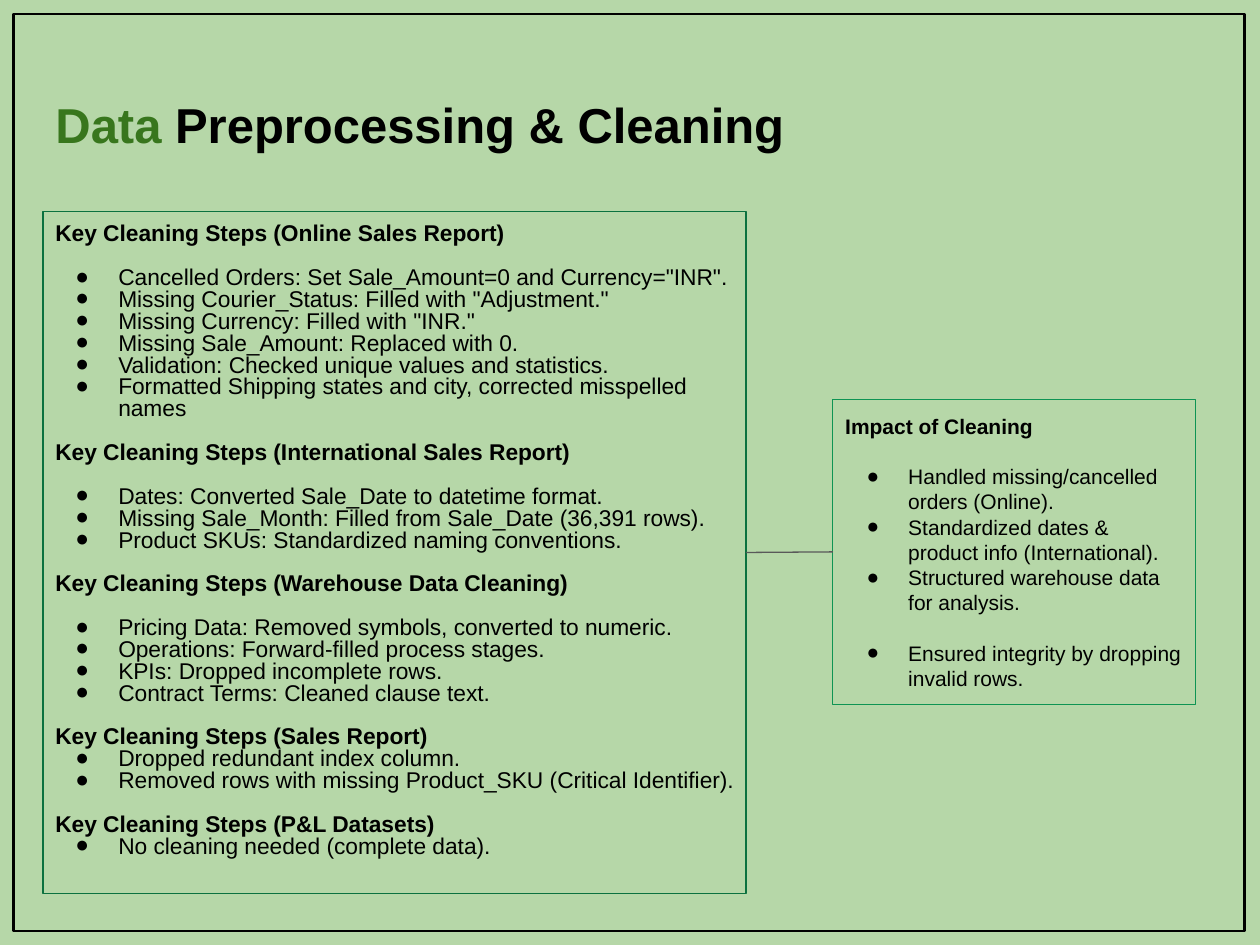
from dataclasses import dataclass

from lxml import etree
from pptx import Presentation
from pptx.dml.color import RGBColor
from pptx.enum import shapes, text
from pptx.oxml.ns import qn
from pptx.util import Inches, Pt

COLORS = {
    "background": "B6D7A8",
    "ink": "000000",
    "accent": "38761D",
    "steps_line": "0B713F",
    "impact_line": "0E9453",
    "link": "595959",
}
FONT = "Arial"
INSET = 0.1
BULLET_INDENT = 0.5


@dataclass
class Bullet:
    wording: str
    gap: bool = False


@dataclass
class Section:
    heading: str
    bullets: list[Bullet]


@dataclass
class Panel:
    left: float
    top: float
    width: float
    height: float
    line: str
    size: int
    spacing: float
    gap: float
    hanging: float
    anchor: text.MSO_ANCHOR
    sections: list[Section]


STEPS = Panel(
    0.34, 1.68, 5.58, 5.41, "steps_line", 13, 0.8, 12.5, 0.34, text.MSO_ANCHOR.TOP,
    [
        Section("Key Cleaning Steps (Online Sales Report)", [
            Bullet('Cancelled Orders: Set Sale_Amount=0 and Currency="INR".', True),
            Bullet('Missing Courier_Status: Filled with "Adjustment."'),
            Bullet('Missing Currency: Filled with "INR."'),
            Bullet("Missing Sale_Amount: Replaced with 0."),
            Bullet("Validation: Checked unique values and statistics."),
            Bullet("Formatted Shipping states and city, corrected misspelled names"),
        ]),
        Section("Key Cleaning Steps (International Sales Report)", [
            Bullet("Dates: Converted Sale_Date to datetime format.", True),
            Bullet("Missing Sale_Month: Filled from Sale_Date (36,391 rows)."),
            Bullet("Product SKUs: Standardized naming conventions."),
        ]),
        Section("Key Cleaning Steps (Warehouse Data Cleaning)", [
            Bullet("Pricing Data: Removed symbols, converted to numeric.", True),
            Bullet("Operations: Forward-filled process stages."),
            Bullet("KPIs: Dropped incomplete rows."),
            Bullet("Contract Terms: Cleaned clause text."),
        ]),
        Section("Key Cleaning Steps (Sales Report)", [
            Bullet("Dropped redundant index column."),
            Bullet("Removed rows with missing Product_SKU (Critical Identifier)."),
        ]),
        Section("Key Cleaning Steps (P&L Datasets)", [
            Bullet("No cleaning needed (complete data)."),
        ]),
    ],
)
IMPACT = Panel(
    6.61, 3.17, 2.88, 2.42, "impact_line", 12, 1.0, 14.4, 0.33, text.MSO_ANCHOR.MIDDLE,
    [
        Section("Impact of Cleaning", [
            Bullet("Handled missing/cancelled orders (Online).", True),
            Bullet("Standardized dates & product info (International)."),
            Bullet("Structured warehouse data for analysis."),
            Bullet("Ensured integrity by dropping invalid rows.", True),
        ]),
    ],
)


def rgb(name: str) -> RGBColor:
    return RGBColor.from_string(COLORS[name])


def add_run(paragraph, wording: str, size: float, bold: bool, color: str = "ink") -> None:
    run = paragraph.add_run()
    run.text = wording
    run.font.name = FONT
    run.font.size = Pt(size)
    run.font.bold = bold
    run.font.color.rgb = rgb(color)


def set_frame(frame, anchor: text.MSO_ANCHOR) -> None:
    frame.word_wrap = True
    frame.auto_size = text.MSO_AUTO_SIZE.NONE
    frame.vertical_anchor = anchor
    frame.margin_left = frame.margin_right = Inches(INSET)
    frame.margin_top = frame.margin_bottom = Inches(INSET)


def add_outline(slide, left: float, top: float, width: float, height: float,
                line: str, weight: float):
    """Add an unfilled rectangle."""
    box = slide.shapes.add_shape(
        shapes.MSO_SHAPE.RECTANGLE,
        Inches(left), Inches(top), Inches(width), Inches(height),
    )
    box.shadow.inherit = False
    box.fill.background()
    box.line.color.rgb = rgb(line)
    box.line.width = Pt(weight)
    return box


def set_bullet(paragraph, hanging: float) -> None:
    properties = paragraph._p.get_or_add_pPr()
    properties.set("marL", str(Inches(BULLET_INDENT)))
    properties.set("indent", str(-Inches(hanging)))
    color = etree.SubElement(properties, qn("a:buClr"))
    etree.SubElement(color, qn("a:srgbClr"), val=COLORS["ink"])
    etree.SubElement(properties, qn("a:buFont"), typeface=FONT)
    etree.SubElement(properties, qn("a:buChar"), char="●")


def add_panel(slide, panel: Panel):
    box = add_outline(slide, panel.left, panel.top, panel.width, panel.height,
                      panel.line, 0.75)
    frame = box.text_frame
    set_frame(frame, panel.anchor)

    def add_line(wording: str, gap: bool, heading: bool) -> None:
        first = not frame.paragraphs[0].runs
        paragraph = frame.paragraphs[0] if first else frame.add_paragraph()
        if not heading:
            set_bullet(paragraph, panel.hanging)
        paragraph.alignment = text.PP_ALIGN.LEFT
        paragraph.line_spacing = panel.spacing
        paragraph.space_before = Pt(panel.gap if gap and not first else 0)
        add_run(paragraph, wording, panel.size, heading)

    for section in panel.sections:
        add_line(section.heading, True, True)
        for bullet in section.bullets:
            add_line(bullet.wording, bullet.gap, False)
    return box


def add_link(slide, start, end) -> None:
    """Join the right side of one box to the left side of another."""
    link = slide.shapes.add_connector(shapes.MSO_CONNECTOR.STRAIGHT, 0, 0, 0, 0)
    link.begin_connect(start, 3)
    link.end_connect(end, 1)
    link.line.color.rgb = rgb("link")
    link.line.width = Pt(0.75)
    etree.SubElement(link._element.spPr, qn("a:effectLst"))


def set_title(slide) -> None:
    title = slide.shapes.title
    title.left, title.top = Inches(0.34), Inches(0.65)
    title.width, title.height = Inches(9.32), Inches(0.83)
    set_frame(title.text_frame, text.MSO_ANCHOR.TOP)
    heading = title.text_frame.paragraphs[0]
    heading.alignment = text.PP_ALIGN.LEFT
    add_run(heading, "Data ", 28, True, "accent")
    add_run(heading, "Preprocessing & Cleaning", 28, True)


def main() -> None:
    deck = Presentation()
    deck.slide_width, deck.slide_height = Inches(10), Inches(7.5)
    slide = deck.slides.add_slide(deck.slide_layouts[5])
    slide.background.fill.solid()
    slide.background.fill.fore_color.rgb = rgb("background")

    add_outline(slide, 0.11, 0.11, 9.77, 7.28, "ink", 1.5)
    set_title(slide)
    steps = add_panel(slide, STEPS)
    impact = add_panel(slide, IMPACT)
    add_link(slide, steps, impact)
    deck.save("out.pptx")


if __name__ == "__main__":
    main()
